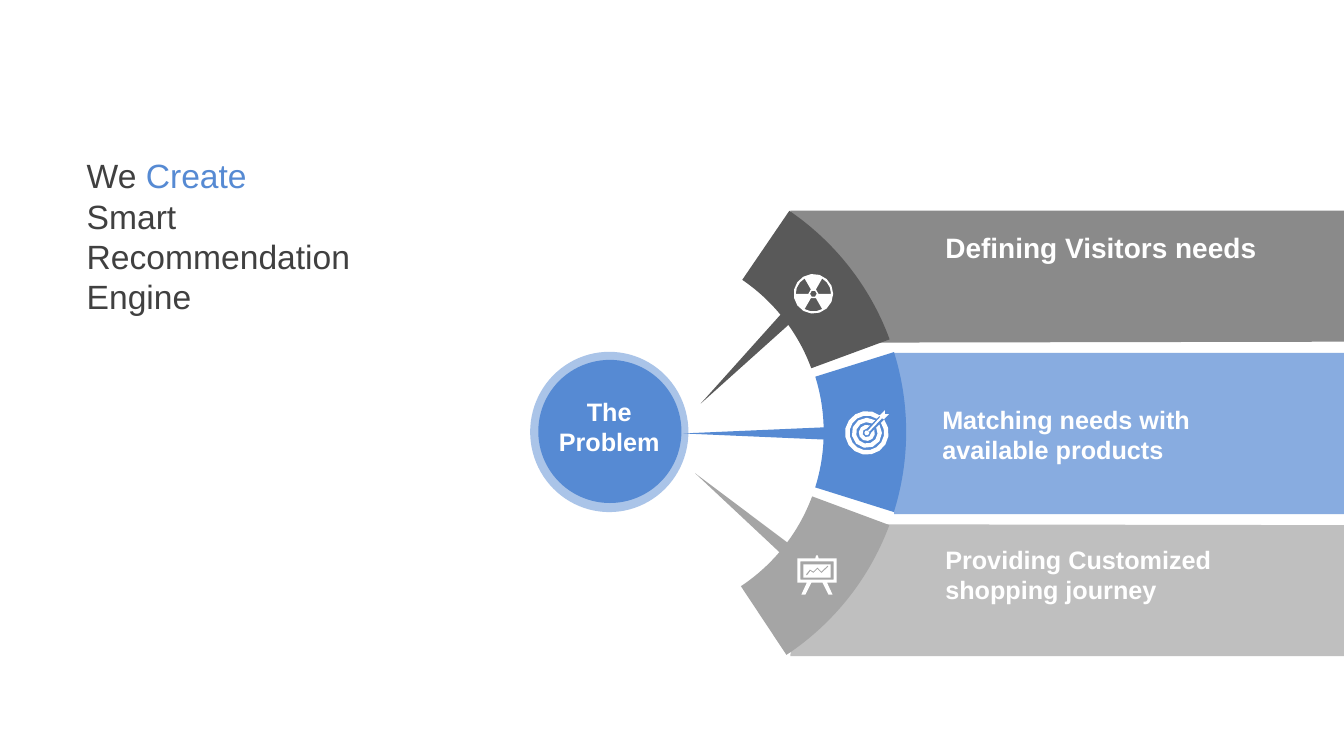
"""Builds a slide that fans one problem out into three answers, on a grid of 160 by 90 cells."""
from dataclasses import dataclass
from math import asin, ceil, cos, degrees, radians, sin

from lxml.etree import SubElement
from pptx import Presentation
from pptx.dml.color import RGBColor
from pptx.enum.shapes import MSO_SHAPE as Preset
from pptx.enum.text import MSO_ANCHOR as Anchor, MSO_AUTO_SIZE as AutoSize, PP_ALIGN as Align
from pptx.oxml.ns import qn
from pptx.util import Inches, Pt

COLORS = {
    "dark": "595959",
    "blue": "568AD3",
    "gray": "A5A5A5",
    "white": "FFFFFF",
    "ink": "404040",
}
COLUMNS, ROWS = 160, 90
CELL = Inches(7.5) / ROWS
MIDDLE = 51.6
Point = tuple[float, float]
Contour = list[Point]


@dataclass
class Figure:
    preset: Preset
    box: tuple[float, float, float, float]
    color: str
    opacity: int = 100
    rotation: float = 0
    adjustments: tuple[float, ...] = ()


@dataclass
class Outline:
    contours: list[Contour]
    color: str
    opacity: int = 100


@dataclass
class Label:
    box: tuple[float, float, float, float]
    paragraphs: list[list[tuple[str, str]]]
    size: int = 18
    bold: bool = True
    align: Align = Align.LEFT
    anchor: Anchor = Anchor.TOP
    insets: tuple[float, float] = (1.2, 0.6)


def cells(count: float) -> int:
    return round(count * CELL)


def arc(radius: float, start: float = 0, stop: float = 360) -> Contour:
    step_angle = 24 if radius > 2 else 36 if radius > 0.6 else 60
    steps = ceil(abs(stop - start) / step_angle)
    angles = [radians(start + (stop - start) * step / steps) for step in range(steps + 1)]
    return [(radius * cos(angle), radius * sin(angle)) for angle in angles]


def disc(radius: float) -> Contour:
    return arc(radius)[:-1]


def sector(inner: float, outer: float, start: float, stop: float) -> Contour:
    return arc(outer, start, stop) + arc(inner, stop, start)


def slotted_ring(inner: float, outer: float, slot: float = 0.36) -> Contour:
    outer_gap, inner_gap = degrees(asin(slot / outer)), degrees(asin(slot / inner))
    return arc(outer, outer_gap - 45, 315 - outer_gap) + arc(inner, 315 - inner_gap, inner_gap - 45)


def symmetric(right_half: Contour) -> Contour:
    return right_half + [(-x, y) for x, y in reversed(right_half)]


def placed(contours: list[Contour], left: float, top: float) -> list[Contour]:
    return [[(left + x, top + y) for x, y in contour] for contour in contours]


def ring_part(start: float, stop: float, percent: float, color: str) -> Figure:
    adjustments = (start * 0.6, stop * 0.6, percent / 100)
    return Figure(Preset.BLOCK_ARC, (44.16, 19.56, 63.72, 63.72), color, adjustments=adjustments)


def paint(shape, color: str, opacity: int) -> None:
    shape.shadow.inherit = False
    shape.line.fill.background()
    shape.fill.solid()
    shape.fill.fore_color.rgb = RGBColor.from_string(COLORS[color])
    if opacity < 100:
        tone = shape.fill._xPr.find(qn("a:solidFill"))[0]
        SubElement(tone, qn("a:alpha")).set("val", str(opacity * 1000))


def draw_figure(slide, figure: Figure) -> None:
    shape = slide.shapes.add_shape(figure.preset, *map(cells, figure.box))
    shape.rotation = figure.rotation
    for index, value in enumerate(figure.adjustments):
        shape.adjustments[index] = value
    paint(shape, figure.color, figure.opacity)


def draw_outline(slide, outline: Outline) -> None:
    contours = [[(cells(x), cells(y)) for x, y in contour] for contour in outline.contours]
    builder = slide.shapes.build_freeform(*contours[0][0], scale=1.0)
    builder.add_line_segments(contours[0][1:], close=True)
    for contour in contours[1:]:
        builder.move_to(*contour[0])
        builder.add_line_segments(contour[1:], close=True)
    paint(builder.convert_to_shape(), outline.color, outline.opacity)


def draw_label(slide, label: Label) -> None:
    frame = slide.shapes.add_textbox(*map(cells, label.box)).text_frame
    frame.word_wrap = True
    frame.auto_size = AutoSize.SHAPE_TO_FIT_TEXT
    frame.vertical_anchor = label.anchor
    frame.margin_left = frame.margin_right = cells(label.insets[0])
    frame.margin_top = frame.margin_bottom = cells(label.insets[1])
    for index, runs in enumerate(label.paragraphs):
        paragraph = frame.add_paragraph() if index else frame.paragraphs[0]
        paragraph.alignment = label.align
        for text, color in runs:
            run = paragraph.add_run()
            run.text = text
            run.font.name = "Arial"
            run.font.size = Pt(label.size)
            run.font.bold = label.bold
            run.font.color.rgb = RGBColor.from_string(COLORS[color])


TOP_BAND = [(94.08, 25.08), (COLUMNS, 25.08), (COLUMNS, 40.68), (95.76, 40.8)]
BOTTOM_BAND = [(x, 2 * MIDDLE - y) for x, y in TOP_BAND]

RADIATION = [disc(2.36), disc(0.4)] + [sector(0.6, 2.1, start, start + 60) for start in (60, 180, 300)]
TARGET = [slotted_ring(inner, outer) for inner, outer in ((2.06, 2.6), (1.28, 1.8), (0.52, 0.96))] + [
    disc(0.3),
    [(2.16, -2.7), (2.16, -2.22), (2.64, -2.22), (2.04, -1.62), (1.8, -1.74),
     (0.3, -0.16), (0.16, -0.3), (1.56, -1.86), (1.56, -2.1)],
]
EASEL = [
    symmetric([(0.1, 0), (0.2, 0.36), (2.34, 0.36), (2.34, 3.24), (1.2, 3.24),
               (1.86, 4.68), (1.38, 4.68), (0.66, 3.24)]),
    symmetric([(1.98, 0.72), (1.98, 2.88)]),
    symmetric([(1.62, 1.08), (1.62, 2.64)]),
    [(-1.32, 2.28), (-0.84, 1.68), (-0.42, 1.92), (0.06, 1.44), (0.54, 1.92), (1.26, 1.2),
     (1.38, 1.32), (0.54, 2.1), (0.06, 1.62), (-0.42, 2.1), (-0.78, 1.86), (-1.2, 2.4)],
]

ELEMENTS = [
    Outline([TOP_BAND], "dark", 70),
    Outline([BOTTOM_BAND], "gray", 70),
    ring_part(304.3, 339.77, 15.6, "dark"),
    ring_part(342.65, 17.43, 15.4, "blue"),
    ring_part(20.38, 56.44, 15.4, "gray"),
    Figure(Preset.ISOSCELES_TRIANGLE, (87.72, 35.76, 1.56, 14.4), "dark", rotation=225),
    Figure(Preset.ISOSCELES_TRIANGLE, (89.52, 42.6, 1.56, 18), "blue", rotation=270),
    Figure(Preset.ISOSCELES_TRIANGLE, (87.48, 53.76, 1.56, 14.4), "gray", rotation=310),
    Figure(Preset.RECTANGLE, (106.44, MIDDLE - 9.6, COLUMNS - 106.44, 19.2), "blue", 70),
    Figure(Preset.OVAL, (63.12, 41.88, 18.84, 19.08), "blue", 50),
    Figure(Preset.OVAL, (64.08, 42.84, 17.04, 17.04), "blue"),
    Label((64.32, 46.56, 16.44, 8.52), [[("The Problem", "white")]], align=Align.CENTER),
    Outline(placed(EASEL, 97.26, 66.12), "white"),
    Outline(placed(RADIATION, 96.84, 34.98), "white"),
    Outline(placed(TARGET, 103.2, 51.54), "white"),
    Label((111.36, 26.88, 42.72, 5.28), [[("Defining Visitors needs", "white")]], size=20),
    Label((111, 47.52, 42.72, 8.52), [[("Matching needs with available products", "white")]]),
    Label((111.36, 64.2, 42.72, 8.52), [[("Providing Customized shopping journey", "white")]]),
    Label((9.84, 18.36, 43.44, 19.44),
          [[("We ", "ink"), ("Create", "blue")], [("Smart Recommendation Engine", "ink")]],
          size=24, bold=False, anchor=Anchor.MIDDLE, insets=(0.48, 0)),
]
DRAWERS = {Figure: draw_figure, Outline: draw_outline, Label: draw_label}


def main() -> None:
    presentation = Presentation()
    presentation.slide_width, presentation.slide_height = cells(COLUMNS), cells(ROWS)
    slide = presentation.slides.add_slide(presentation.slide_layouts[6])
    for element in ELEMENTS:
        DRAWERS[type(element)](slide, element)
    presentation.save("out.pptx")


if __name__ == "__main__":
    main()
